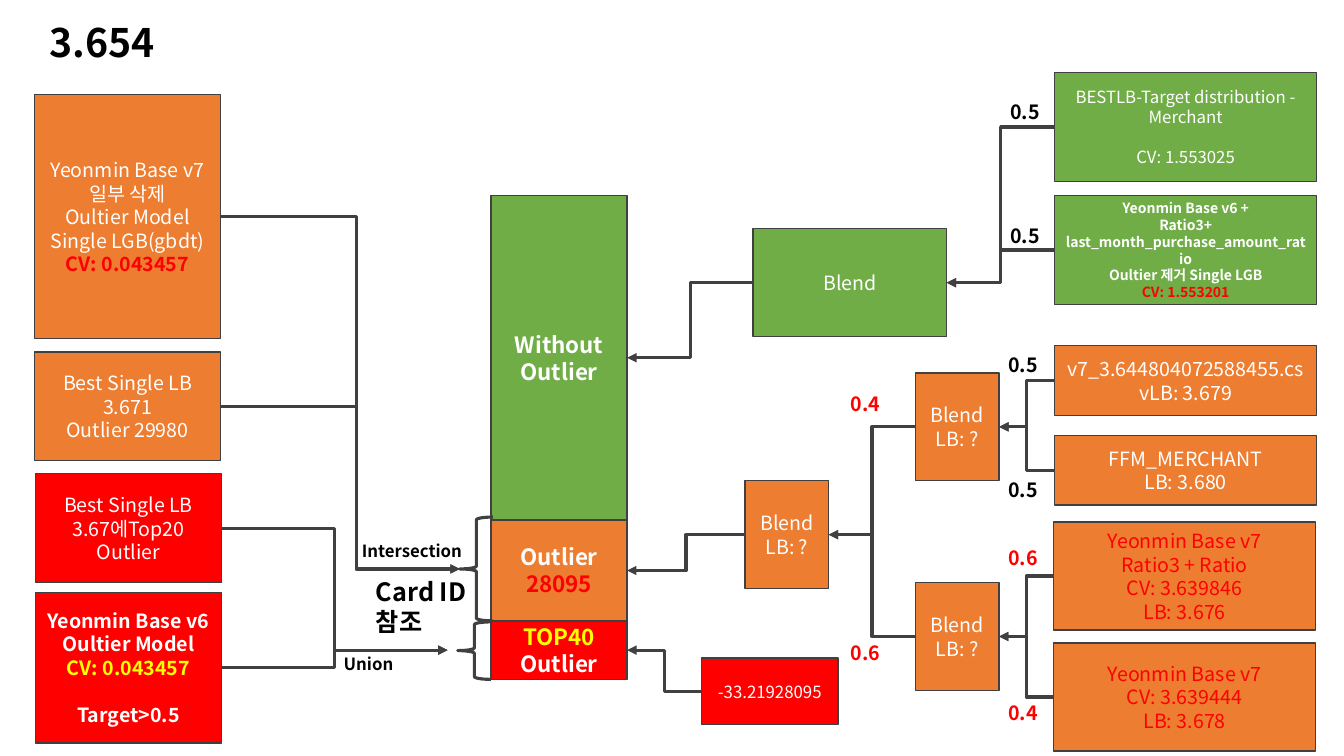
from lxml import etree
from pptx import Presentation
from pptx.dml.color import RGBColor
from pptx.enum.shapes import MSO_CONNECTOR, MSO_SHAPE
from pptx.enum.text import MSO_ANCHOR, MSO_AUTO_SIZE, PP_ALIGN
from pptx.oxml.ns import qn
from pptx.util import Pt

ELBOW = MSO_CONNECTOR.ELBOW
RECT, BRACE = MSO_SHAPE.RECTANGLE, MSO_SHAPE.LEFT_BRACE
MIDDLE, TOP = MSO_ANCHOR.MIDDLE, MSO_ANCHOR.TOP
GROW, FIXED = MSO_AUTO_SIZE.SHAPE_TO_FIT_TEXT, MSO_AUTO_SIZE.NONE
LEFT, CENTER = PP_ALIGN.LEFT, PP_ALIGN.CENTER
WEST, EAST = 1, 3
TITLE_ONLY = 5
SCALE = 9144
FONT = "Noto Sans CJK KR"
COLORS = {
    "black": "000000",
    "white": "FFFFFF",
    "line": "404040",
    "green": "70AD47",
    "orange": "ED7D31",
    "red": "FF0000",
    "yellow": "FFFF00",
}


def px(*values):
    return [value * SCALE for value in values]


def color(name):
    return RGBColor.from_string(COLORS[name])


class Board:
    def __init__(self, deck):
        self.slide = deck.slides.add_slide(deck.slide_layouts[TITLE_ONLY])
        self.shapes = self.slide.shapes

    def letter(self, shape, lines, size, ink, bold, align, anchor, fit, gap=0):
        frame = shape.text_frame
        frame.word_wrap = True
        frame.auto_size = fit
        frame.vertical_anchor = anchor
        for index, line in enumerate(lines):
            para = frame.paragraphs[0] if index == 0 else frame.add_paragraph()
            para.alignment = align
            for part in [line] if isinstance(line, str) else line:
                text, tint = (part, ink) if isinstance(part, str) else part
                run = para.add_run()
                run.text = text
                font = run.font
                font.name, font.size = FONT, Pt(size)
                font.bold = bold or tint != ink
                font.color.rgb = color(tint)
                east = etree.SubElement(font._element, qn("a:ea"))
                east.set("typeface", FONT)
        if gap:
            para.space_before = Pt(gap)

    def title(self, text, at):
        shape = self.shapes.title
        shape.left, shape.top, shape.width, shape.height = px(*at)
        self.letter(shape, [text], 28, "black", True, LEFT, MIDDLE, GROW)

    def stroke(self, line, width):
        line.color.rgb = color("line")
        line.width = Pt(width)

    def box(self, at, fill, lines, size=14, ink="white", bold=False, gap=0):
        shape = self.shapes.add_shape(RECT, *px(*at))
        shape.shadow.inherit = False
        shape.fill.solid()
        shape.fill.fore_color.rgb = color(fill)
        self.stroke(shape.line, 1)
        self.letter(shape, lines, size, ink, bold, CENTER, MIDDLE, FIXED, gap)
        return shape

    def brace(self, at):
        shape = self.shapes.add_shape(BRACE, *px(*at))
        shape.shadow.inherit = False
        shape.fill.background()
        self.stroke(shape.line, 2.25)
        return shape

    def label(self, at, text, size=14, ink="black"):
        shape = self.shapes.add_textbox(*px(*at))
        self.letter(shape, [text], size, ink, True, LEFT, TOP, GROW)

    def link(self, start, end, out=WEST, bend=50000):
        wire = self.shapes.add_connector(ELBOW, 0, 0, 0, 0)
        wire.begin_connect(start, out)
        if isinstance(end, tuple):
            wire.end_x, wire.end_y = px(*end)
        else:
            wire.end_connect(end, EAST if out == WEST else WEST)
        self.stroke(wire.line, 2.25)
        props = wire._element.spPr
        head = etree.SubElement(props.find(qn("a:ln")), qn("a:tailEnd"))
        head.set("type", "triangle")
        etree.SubElement(props, qn("a:effectLst"))
        guide = etree.SubElement(props.find(".//" + qn("a:avLst")), qn("a:gd"))
        guide.set("name", "adj1")
        guide.set("fmla", f"val {bend}")


def build(board):
    board.title("3.654", (39, 13, 1267, 57))

    base = board.box((34, 94, 185, 242), "orange", [
        "Yeonmin Base v7", "일부 삭제", "Oultier Model", "Single LGB(gbdt)",
        [("CV: 0.043457", "red")]])
    best = board.box((34, 349, 185, 108), "orange",
                     ["Best Single LB 3.671", "Outlier 29980"])
    top = board.box((35, 470, 185, 108), "red",
                    ["Best Single LB 3.67에Top20 Outlier"])
    target = board.box((35, 588, 185, 149), "red", [
        "Yeonmin Base v6", "Oultier Model", [("CV: 0.043457", "yellow")],
        "Target>0.5"], bold=True, gap=17)

    clean = board.box((487, 194, 135, 322), "green", ["Without", "Outlier"],
                      16, bold=True)
    odd = board.box((487, 516, 135, 100), "orange",
                    ["Outlier", [("28095", "red")]], 16, bold=True)
    forty = board.box((487, 616, 135, 58), "red",
                      [[("TOP40", "yellow"), " Outlier"]], 16, bold=True)

    board.brace((454, 617, 33, 57))
    both = board.brace((456, 513, 33, 103))

    blend = board.box((747, 227, 192, 107), "green", ["Blend"])
    total, upper, lower = [
        board.box((x, y, 83, 107), "orange", ["Blend", "LB: ?"])
        for x, y in ((739, 477), (908, 370), (908, 578))]
    score = board.box((696, 653, 135, 66), "red", ["-33.21928095"], 12)

    shop = board.box((1046, 72, 260, 108), "green", [
        "BESTLB-Target distribution - Merchant", "CV: 1.553025"], 12, gap=14)
    ratio = board.box((1046, 194, 260, 108), "green", [
        "Yeonmin Base v6 +", "Ratio3+ last_month_purchase_amount_ratio",
        "Oultier 제거 Single LGB", [("CV: 1.553201", "red")]], 10, bold=True)
    seven = board.box((1046, 343, 260, 69), "orange",
                      ["v7_3.644804072588455.csvLB: 3.679"])
    merge = board.box((1046, 432, 260, 69), "orange",
                      ["FFM_MERCHANT", "LB: 3.680"])
    three = board.box((1045, 518, 260, 107), "orange", [
        "Yeonmin Base v7", "Ratio3 + Ratio", "CV: 3.639846", "LB: 3.676"],
        ink="red")
    last = board.box((1045, 638, 260, 107), "orange", [
        "Yeonmin Base v7", "CV: 3.639444", "LB: 3.678"], ink="red")

    for source in (base, best):
        board.link(source, both, EAST, 56900)
    for source in (top, target):
        board.link(source, (444, 645), EAST)
    for source, goal in (
            (shop, blend), (ratio, blend), (blend, clean),
            (seven, upper), (merge, upper), (three, lower), (last, lower),
            (upper, total), (lower, total), (total, odd), (score, forty)):
        board.link(source, goal)

    board.label((363, 567, 115, 71), "Card ID 참조", 18)
    board.label((349, 532, 122, 30), "Intersection", 12)
    board.label((331, 644, 122, 30), "Union", 12)
    for x, y, weight, ink in (
            (992, 94, "0.5", "black"), (992, 217, "0.5", "black"),
            (990, 345, "0.5", "black"), (990, 469, "0.5", "black"),
            (990, 537, "0.6", "red"), (990, 690, "0.4", "red"),
            (834, 384, "0.4", "red"), (834, 631, "0.6", "red")):
        board.label((x, y, 65, 34), weight, ink=ink)


def main():
    deck = Presentation()
    deck.slide_width, deck.slide_height = px(1333, 750)
    build(Board(deck))
    deck.save("out.pptx")


if __name__ == "__main__":
    main()
